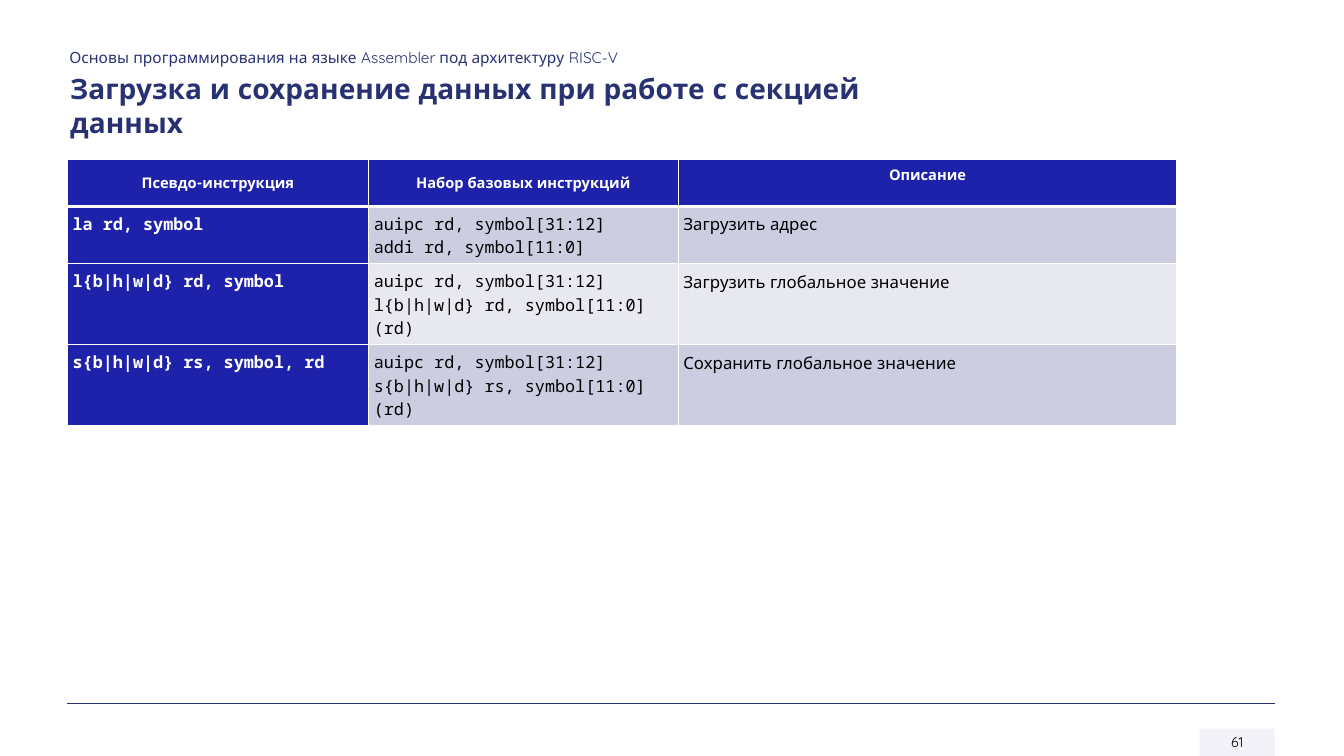
from dataclasses import dataclass

from lxml import etree
from pptx import Presentation
from pptx.dml.color import RGBColor
from pptx.enum.shapes import MSO_CONNECTOR, MSO_SHAPE
from pptx.enum.text import MSO_ANCHOR, MSO_AUTO_SIZE, PP_ALIGN
from pptx.oxml.ns import qn
from pptx.util import Cm, Pt

LEFT, CENTER = PP_ALIGN.LEFT, PP_ALIGN.CENTER
TOP, MIDDLE = MSO_ANCHOR.TOP, MSO_ANCHOR.MIDDLE
RECTANGLE = MSO_SHAPE.RECTANGLE
STRAIGHT = MSO_CONNECTOR.STRAIGHT
FIT_SHAPE = MSO_AUTO_SIZE.SHAPE_TO_FIT_TEXT


@dataclass(frozen=True)
class Theme:
    sans: str = "Quicksand"
    mono: str = "Noto Sans Mono"
    navy: str = "283272"
    blue: str = "1E22AA"
    band_dark: str = "CDCDE2"
    band_light: str = "E8E8F1"
    badge: str = "F3F1F9"
    black: str = "000000"
    white: str = "FFFFFF"
    title: float = 20
    topic: float = 11
    header: float = 10.5
    body: float = 12
    number: float = 10
    body_line: float = 16.8


THEME = Theme()

HEADERS = ["Псевдо-инструкция", "Набор базовых инструкций", "Описание"]
# A vertical tab is a line break inside a paragraph
INSTRUCTIONS = [
    ("la rd, symbol",
     "auipc rd, symbol[31:12]\vaddi rd, symbol[11:0]",
     "Загрузить адрес"),
    ("l{b|h|w|d} rd, symbol",
     "auipc rd, symbol[31:12]\vl{b|h|w|d} rd, symbol[11:0](rd)",
     "Загрузить глобальное значение"),
    ("s{b|h|w|d} rs, symbol, rd",
     "auipc rd, symbol[31:12]\vs{b|h|w|d} rs, symbol[11:0](rd)",
     "Сохранить глобальное значение"),
]
COLUMN_WIDTHS = [7.59, 7.8, 12.57]
ROW_HEIGHTS = [1.19, 1.44, 2.03, 2.03]


def rgb(value):
    return RGBColor.from_string(value)


def write(tf, text, size, color, font=THEME.sans, bold=False, align=LEFT,
          spacing=None):
    p = tf.paragraphs[0]
    p.text = text
    p.alignment = align
    p.line_spacing = spacing
    p.font.name = font
    p.font.size = Pt(size)
    p.font.bold = bold
    p.font.color.rgb = rgb(color)


def add_text(slide, left, top, width, height, text, size, bold=False):
    tf = slide.shapes.add_textbox(
        Cm(left), Cm(top), Cm(width), Cm(height)).text_frame
    tf.word_wrap = True
    tf.auto_size = FIT_SHAPE
    write(tf, text, size, THEME.navy, bold=bold)


def add_rule(slide, left, right, y):
    line = slide.shapes.add_connector(
        STRAIGHT, Cm(left), Cm(y), Cm(right), Cm(y))
    line.line.color.rgb = rgb(THEME.navy)
    line.line.width = Pt(1)
    etree.SubElement(line._element.spPr, qn("a:effectLst"))


def add_page_number(slide, left, top, width, height, text):
    sp = slide.shapes.add_shape(
        RECTANGLE, Cm(left), Cm(top), Cm(width), Cm(height))
    sp.shadow.inherit = False
    sp.line.fill.background()
    sp.fill.solid()
    sp.fill.fore_color.rgb = rgb(THEME.badge)
    color = sp._element.spPr.find(qn("a:solidFill"))[0]
    etree.SubElement(color, qn("a:alpha"), val="90000")
    sp.text_frame.vertical_anchor = MIDDLE
    write(sp.text_frame, text, THEME.number, THEME.black, align=CENTER)


def set_borders(cell, top, bottom):
    tc_pr = cell._tc.get_or_add_tcPr()
    for side, width in (("L", 1), ("R", 1), ("T", top), ("B", bottom)):
        ln = etree.SubElement(tc_pr, qn(f"a:ln{side}"), w=str(Pt(width)))
        fill = etree.SubElement(ln, qn("a:solidFill"))
        etree.SubElement(fill, qn("a:srgbClr"), val=THEME.white)


def style_cell(cell, fill, top=1, bottom=1, anchor=TOP):
    set_borders(cell, top, bottom)
    cell.fill.solid()
    cell.fill.fore_color.rgb = rgb(fill)
    cell.vertical_anchor = anchor
    cell.margin_left = cell.margin_right = Cm(0.13)
    cell.margin_top = cell.margin_bottom = Cm(0.13)


def add_instruction_table(slide, left, top):
    table = slide.shapes.add_table(
        len(ROW_HEIGHTS), len(COLUMN_WIDTHS), Cm(left), Cm(top),
        Cm(sum(COLUMN_WIDTHS)), Cm(sum(ROW_HEIGHTS))).table
    for column, width in zip(table.columns, COLUMN_WIDTHS):
        column.width = Cm(width)
    for row, height in zip(table.rows, ROW_HEIGHTS):
        row.height = Cm(height)

    # Header row: the last heading sits at the top of its cell
    for c, (text, anchor) in enumerate(zip(HEADERS, (MIDDLE, MIDDLE, TOP))):
        cell = table.cell(0, c)
        style_cell(cell, THEME.blue, bottom=3, anchor=anchor)
        write(cell.text_frame, text, THEME.header, THEME.white, bold=True,
              align=CENTER, spacing=1.07)

    # Instruction rows in alternating bands
    for r, texts in enumerate(INSTRUCTIONS, start=1):
        band = THEME.band_dark if r % 2 else THEME.band_light
        looks = [(THEME.blue, THEME.white, THEME.mono, True),
                 (band, THEME.black, THEME.mono, False),
                 (band, THEME.black, THEME.sans, False)]
        for c, (text, (fill, color, font, bold)) in enumerate(
                zip(texts, looks)):
            cell = table.cell(r, c)
            style_cell(cell, fill, top=3 if r == 1 else 1)
            write(cell.text_frame, text, THEME.body, color, font, bold,
                  spacing=Pt(THEME.body_line))


def main():
    prs = Presentation()
    prs.slide_width, prs.slide_height = Cm(33.87), Cm(19.05)
    slide = prs.slides.add_slide(prs.slide_layouts[6])

    # Footer
    add_page_number(slide, 30.23, 18.36, 1.9, 0.69, "61")
    add_rule(slide, 1.7, 32.13, 17.73)

    # Headings
    add_text(slide, 1.5, 1.09, 26, 0.74,
             "Основы программирования на языке Assembler "
             "под архитектуру RISC-V", THEME.topic)
    add_text(slide, 1.52, 1.68, 21.95, 1.12,
             "Загрузка и сохранение данных при работе с секцией данных",
             THEME.title, bold=True)

    # Pseudo-instructions
    add_instruction_table(slide, 1.7, 4.01)
    prs.save("out.pptx")


if __name__ == "__main__":
    main()
